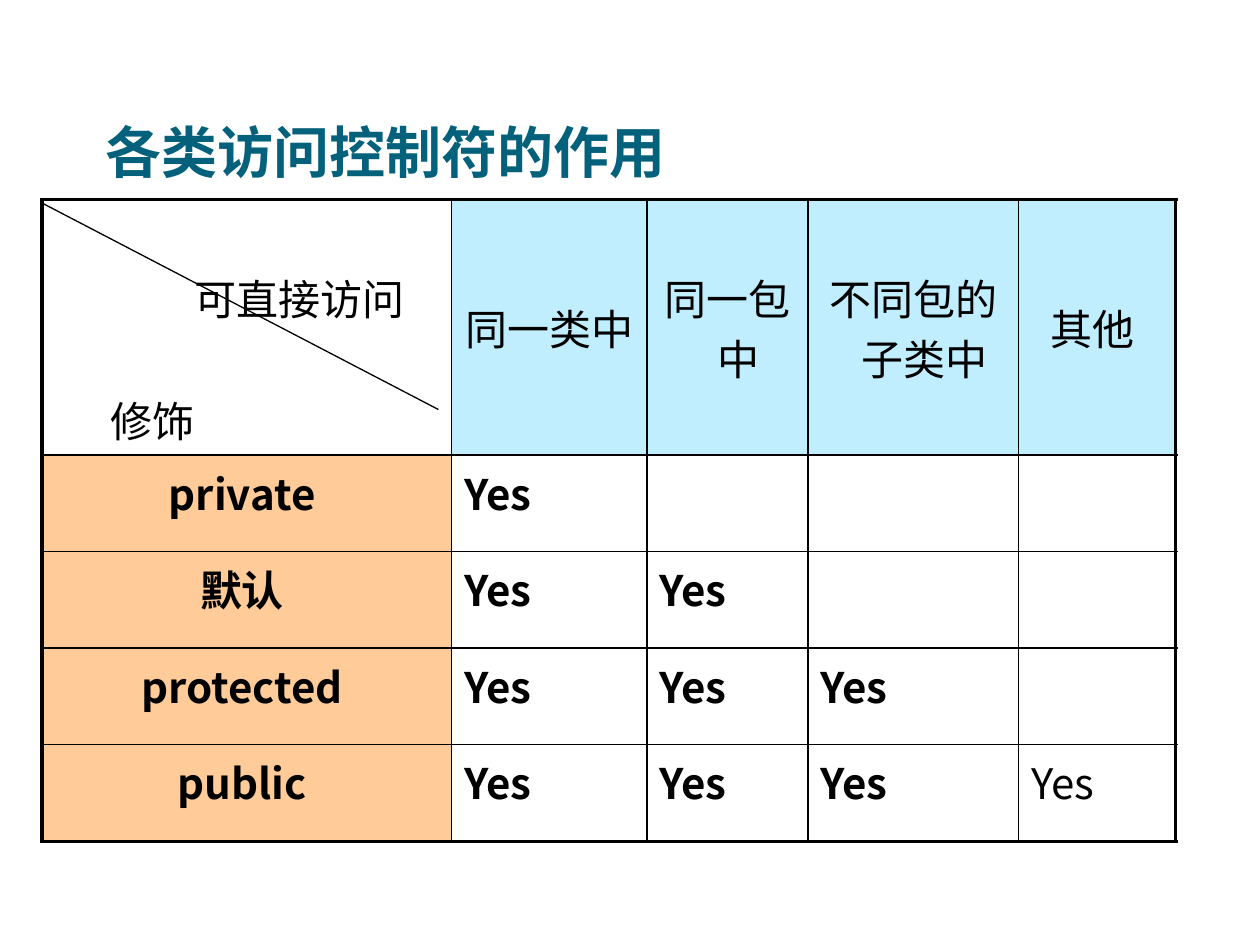
from lxml.etree import SubElement
from pptx import Presentation
from pptx.dml.color import RGBColor
from pptx.enum.shapes import MSO_CONNECTOR
from pptx.enum.text import MSO_ANCHOR, PP_ALIGN
from pptx.oxml import parse_xml
from pptx.oxml.ns import nsdecls, qn
from pptx.util import Pt

BLACK = RGBColor(0x00, 0x00, 0x00)
GRID = RGBColor(0x01, 0x00, 0x00)
TEAL = RGBColor(0x04, 0x61, 0x7B)
WHITE = RGBColor(0xFF, 0xFF, 0xFF)
SKY = RGBColor(0xC0, 0xEE, 0xFF)
PEACH = RGBColor(0xFF, 0xCC, 0x99)
TITLE_FONT = "Montserrat"
BODY_FONT = "Noto Sans CJK SC"

SCOPES = ["同一类中 ", "同一包中 ", "不同包的子类中 ", "其他 "]
MODIFIERS = ["private ", "默认 ", "protected ", "public "]
COLUMN_WIDTHS = [234, 111.6, 92.16, 120.24, 90]
ROW_HEIGHTS = [146] + [55.2] * len(MODIFIERS)
TABLE_LEFT, TABLE_TOP = 24, 114


def add_run(paragraph, text, size=24, font=BODY_FONT, color=BLACK, bold=False):
    """Append a styled run, naming the East Asian font as well."""
    run = paragraph.add_run()
    run.text = text
    run.font.size = Pt(size)
    run.font.name = font
    run.font.bold = bold
    run.font.color.rgb = color
    SubElement(run.font._element, qn("a:ea")).set("typeface", BODY_FONT)


def set_indent(paragraph, left, first=0):
    """Set the left margin and first-line indent of a paragraph."""
    properties = paragraph._p.get_or_add_pPr()
    properties.set("marL", str(Pt(left)))
    properties.set("indent", str(Pt(first)))


def set_borders(cell, outer_sides):
    """Draw thick borders on the outer sides and thin ones elsewhere."""
    for index, side in enumerate("LRTB"):
        width, color = (2, BLACK) if side in outer_sides else (1, GRID)
        line = parse_xml(
            f'<a:ln{side} {nsdecls("a")} w="{Pt(width)}"><a:solidFill>'
            f'<a:srgbClr val="{color}"/></a:solidFill></a:ln{side}>'
        )
        cell._tc.get_or_add_tcPr().insert(index, line)


def fill_cell(cell, color):
    """Fill a cell with a colour, or leave it clear."""
    if color is None:
        cell.fill.background()
    else:
        cell.fill.solid()
        cell.fill.fore_color.rgb = color


def write_cell(cell, text, bold=True, centred=False):
    """Write one paragraph with a hanging indent into a cell."""
    paragraph = cell.text_frame.paragraphs[0]
    paragraph.alignment = PP_ALIGN.CENTER if centred else PP_ALIGN.LEFT
    set_indent(paragraph, 18, -18)
    add_run(paragraph, text, bold=bold)


def write_corner(cell):
    """Write the two labels of the divided corner cell."""
    cell.margin_top = Pt(38.4)
    upper = cell.text_frame.paragraphs[0]
    lower = cell.text_frame.add_paragraph()
    lower.space_before = Pt(34.8)
    for paragraph, text, left in ((upper, "可直接访问", 80), (lower, "修饰", 32)):
        set_indent(paragraph, left)
        add_run(paragraph, text)


def add_title(slide, text):
    """Add the slide heading."""
    shape = slide.shapes.add_textbox(Pt(60), Pt(54.5), Pt(580), Pt(51))
    frame = shape.text_frame
    frame.word_wrap = True
    frame.vertical_anchor = MSO_ANCHOR.BOTTOM
    frame.margin_left = frame.margin_right = frame.margin_bottom = Pt(0)
    add_run(frame.paragraphs[0], text, 32, TITLE_FONT, TEAL, True)


def add_access_table(slide):
    """Add the table of modifiers against the scopes they open."""
    rows, columns = len(ROW_HEIGHTS), len(COLUMN_WIDTHS)
    table = slide.shapes.add_table(
        rows, columns, Pt(TABLE_LEFT), Pt(TABLE_TOP),
        Pt(sum(COLUMN_WIDTHS)), Pt(sum(ROW_HEIGHTS)),
    ).table
    table.first_row = table.horz_banding = False
    for column, width in zip(table.columns, COLUMN_WIDTHS):
        column.width = Pt(width)
    for row, height in zip(table.rows, ROW_HEIGHTS):
        row.height = Pt(height)

    for i in range(rows):
        for j in range(columns):
            cell = table.cell(i, j)
            color = None
            if i == 0 and j == 0:
                color = WHITE
                write_corner(cell)
            elif i == 0:
                color = SKY
                cell.vertical_anchor = MSO_ANCHOR.MIDDLE
                write_cell(cell, SCOPES[j - 1], bold=False, centred=True)
            elif j == 0:
                color = PEACH
                write_cell(cell, MODIFIERS[i - 1], centred=True)
            elif j <= i:
                write_cell(cell, "Yes", bold=j < columns - 1)
            fill_cell(cell, color)
            edges = {"L": j == 0, "R": j == columns - 1, "T": i == 0, "B": i == rows - 1}
            set_borders(cell, [side for side, outer in edges.items() if outer])


def add_diagonal(slide):
    """Add the line that divides the corner cell."""
    connector = slide.shapes.add_connector(
        MSO_CONNECTOR.STRAIGHT, Pt(TABLE_LEFT), Pt(116), Pt(250.5), Pt(234)
    )
    connector.line.color.rgb = BLACK
    connector.line.width = Pt(0.75)
    SubElement(connector._element.spPr, qn("a:effectLst"))


def main():
    """Build and save the slide."""
    presentation = Presentation()
    presentation.slide_width, presentation.slide_height = Pt(720), Pt(540)
    slide = presentation.slides.add_slide(presentation.slide_layouts[6])
    add_title(slide, "各类访问控制符的作用")
    add_access_table(slide)
    add_diagonal(slide)
    presentation.save("out.pptx")


if __name__ == "__main__":
    main()
